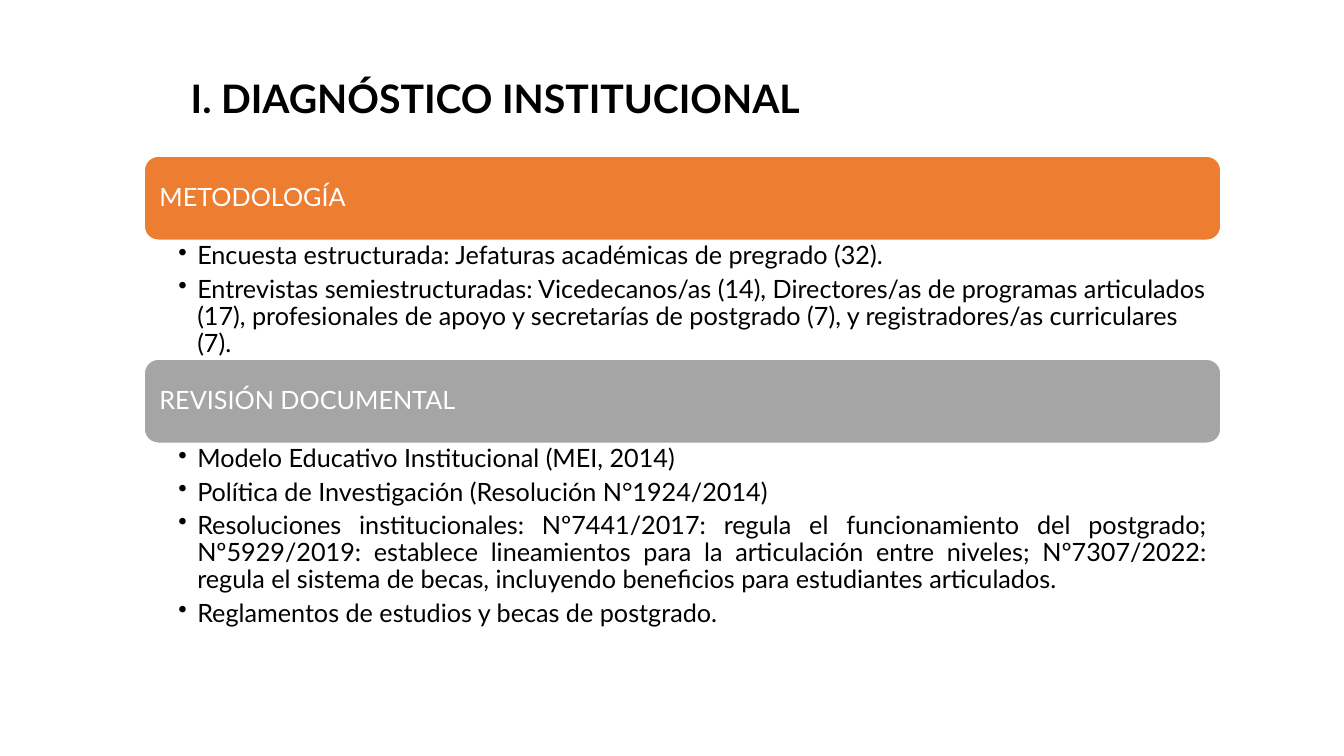
from lxml.etree import SubElement
from pptx import Presentation
from pptx.dml.color import RGBColor
from pptx.enum.shapes import MSO_SHAPE as Preset
from pptx.enum.text import MSO_ANCHOR as Anchor, MSO_AUTO_SIZE as AutoSize, PP_ALIGN as Align
from pptx.oxml.ns import qn
from pptx.util import Pt

BLACK = RGBColor(0x00, 0x00, 0x00)
WHITE = RGBColor(0xFF, 0xFF, 0xFF)
ORANGE = RGBColor(0xED, 0x7D, 0x31)
GRAY = RGBColor(0xA5, 0xA5, 0xA5)

FONT = "Lato"
LEFT, TOP, WIDTH = 103, 111.6, 769
HEADER_HEIGHT = 60

SECTIONS = [
    ("METODOLOGÍA", ORANGE, 85, Align.LEFT, [
        "Encuesta estructurada: Jefaturas académicas de pregrado (32).",
        "Entrevistas semiestructuradas: Vicedecanos/as (14), Directores/as de programas "
        "articulados (17), profesionales de apoyo y secretarías de postgrado (7), y "
        "registradores/as curriculares (7).",
    ]),
    ("REVISIÓN DOCUMENTAL", GRAY, 167, Align.JUSTIFY, [
        "Modelo Educativo Institucional (MEI, 2014)",
        "Política de Investigación (Resolución N°1924/2014)",
        "Resoluciones institucionales: Nº7441/2017: regula el funcionamiento del postgrado; "
        "Nº5929/2019: establece lineamientos para la articulación entre niveles; "
        "Nº7307/2022: regula el sistema de becas, incluyendo beneficios para estudiantes "
        "articulados.",
        "Reglamentos de estudios y becas de postgrado.",
    ]),
]


def set_frame(text_frame, anchor, left, top, right, bottom):
    """Set wrapping, anchor and insets of a text frame."""
    text_frame.word_wrap = True
    text_frame.auto_size = AutoSize.NONE
    text_frame.vertical_anchor = anchor
    text_frame.margin_left, text_frame.margin_top = Pt(left), Pt(top)
    text_frame.margin_right, text_frame.margin_bottom = Pt(right), Pt(bottom)


def format_paragraph(paragraph, size, color, alignment, line_spacing, bold=False):
    """Set spacing, alignment and run fonts of a paragraph."""
    paragraph.alignment = alignment
    paragraph.line_spacing = line_spacing
    paragraph.space_before = Pt(0)
    for run in paragraph.runs:
        run.font.name = FONT
        run.font.size = Pt(size)
        run.font.bold = bold
        run.font.color.rgb = color


def set_indent(paragraph, margin, first_line):
    """Set the left margin and first-line indent and return the properties."""
    properties = paragraph._p.get_or_add_pPr()
    properties.set("marL", str(Pt(margin)))
    properties.set("indent", str(Pt(first_line)))
    return properties


def format_title(title, text):
    """Place and format the title placeholder."""
    title.left, title.top, title.width, title.height = Pt(124.5), Pt(32.4), Pt(WIDTH), Pt(60.5)
    set_frame(title.text_frame, Anchor.TOP, 7.2, 3.6, 7.2, 3.6)
    title.text_frame.text = text
    paragraph = title.text_frame.paragraphs[0]
    set_indent(paragraph, 4.5, 0)
    format_paragraph(paragraph, 28, BLACK, Align.LEFT, 1.5, bold=True)


def add_header(slide, text, color, top):
    """Add a rounded section header."""
    shape = slide.shapes.add_shape(
        Preset.ROUNDED_RECTANGLE, Pt(LEFT), Pt(top), Pt(WIDTH), Pt(HEADER_HEIGHT))
    shape.shadow.inherit = False
    shape.fill.solid()
    shape.fill.fore_color.rgb = color
    shape.line.color.rgb = WHITE
    shape.line.width = Pt(1)
    set_frame(shape.text_frame, Anchor.MIDDLE, 8, 5, 8, 5)
    shape.text_frame.text = text
    format_paragraph(shape.text_frame.paragraphs[0], 18, WHITE, Align.LEFT, 0.9)


def add_bullets(slide, items, alignment, top, height):
    """Add a bulleted text box below a header."""
    box = slide.shapes.add_textbox(Pt(LEFT), Pt(top), Pt(WIDTH), Pt(height))
    text_frame = box.text_frame
    set_frame(text_frame, Anchor.TOP, 24.4, 2, 10, 2)
    text_frame.text = "\n".join(items)
    for paragraph in text_frame.paragraphs:
        paragraph.level = 1
        properties = set_indent(paragraph, 13.5, -13.5)
        SubElement(properties, qn("a:buChar")).set("char", "•")
        format_paragraph(paragraph, 18, BLACK, alignment, 0.9)
        paragraph.space_after = Pt(4.3)


def main():
    """Build the slide and save it."""
    presentation = Presentation()
    presentation.slide_width, presentation.slide_height = Pt(960), Pt(540)
    slide = presentation.slides.add_slide(presentation.slide_layouts[5])
    format_title(slide.shapes.title, "I. DIAGNÓSTICO INSTITUCIONAL")
    top = TOP
    for heading, color, height, alignment, items in SECTIONS:
        add_header(slide, heading, color, top)
        add_bullets(slide, items, alignment, top + HEADER_HEIGHT, height)
        top += HEADER_HEIGHT + height
    presentation.save("out.pptx")


if __name__ == "__main__":
    main()
